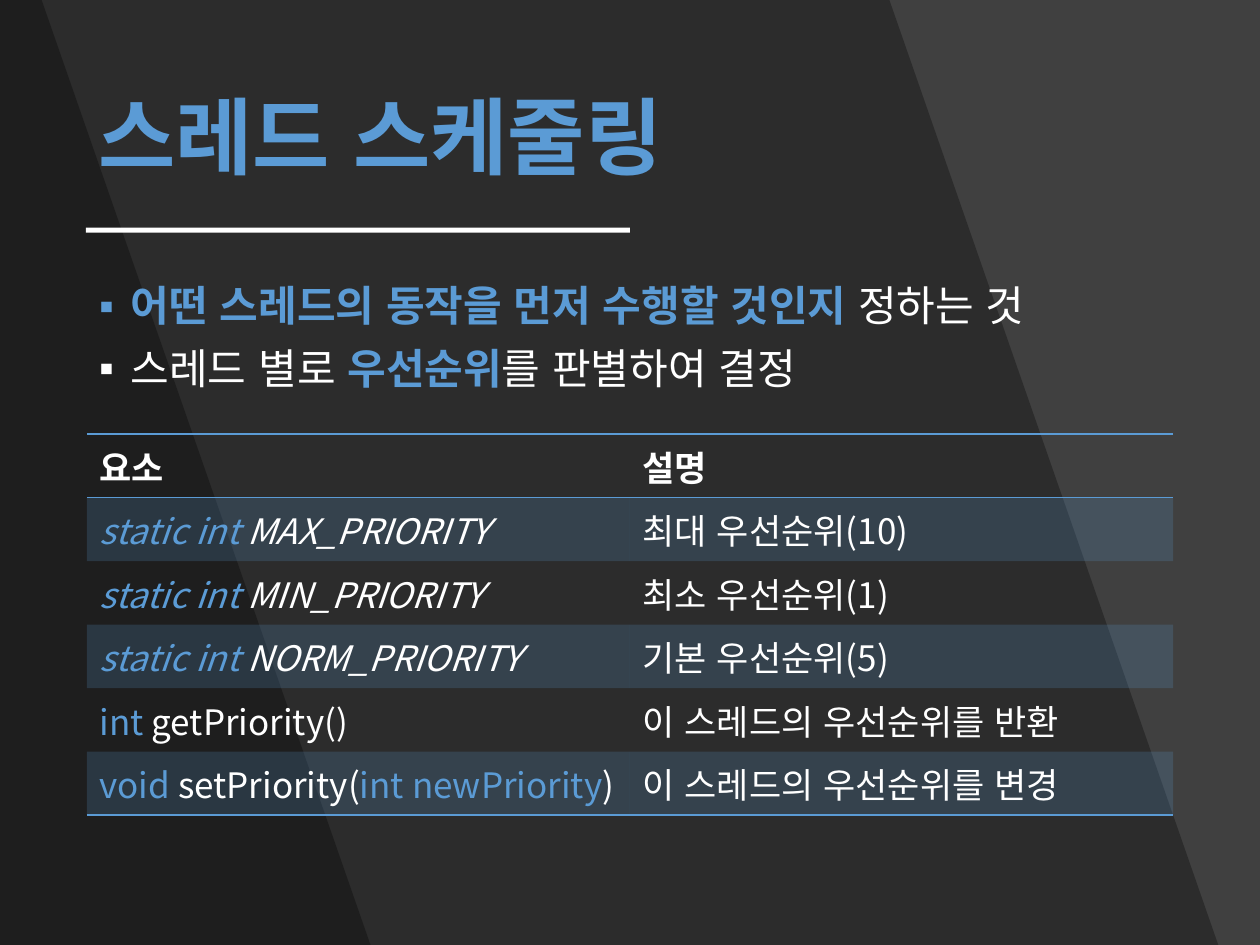
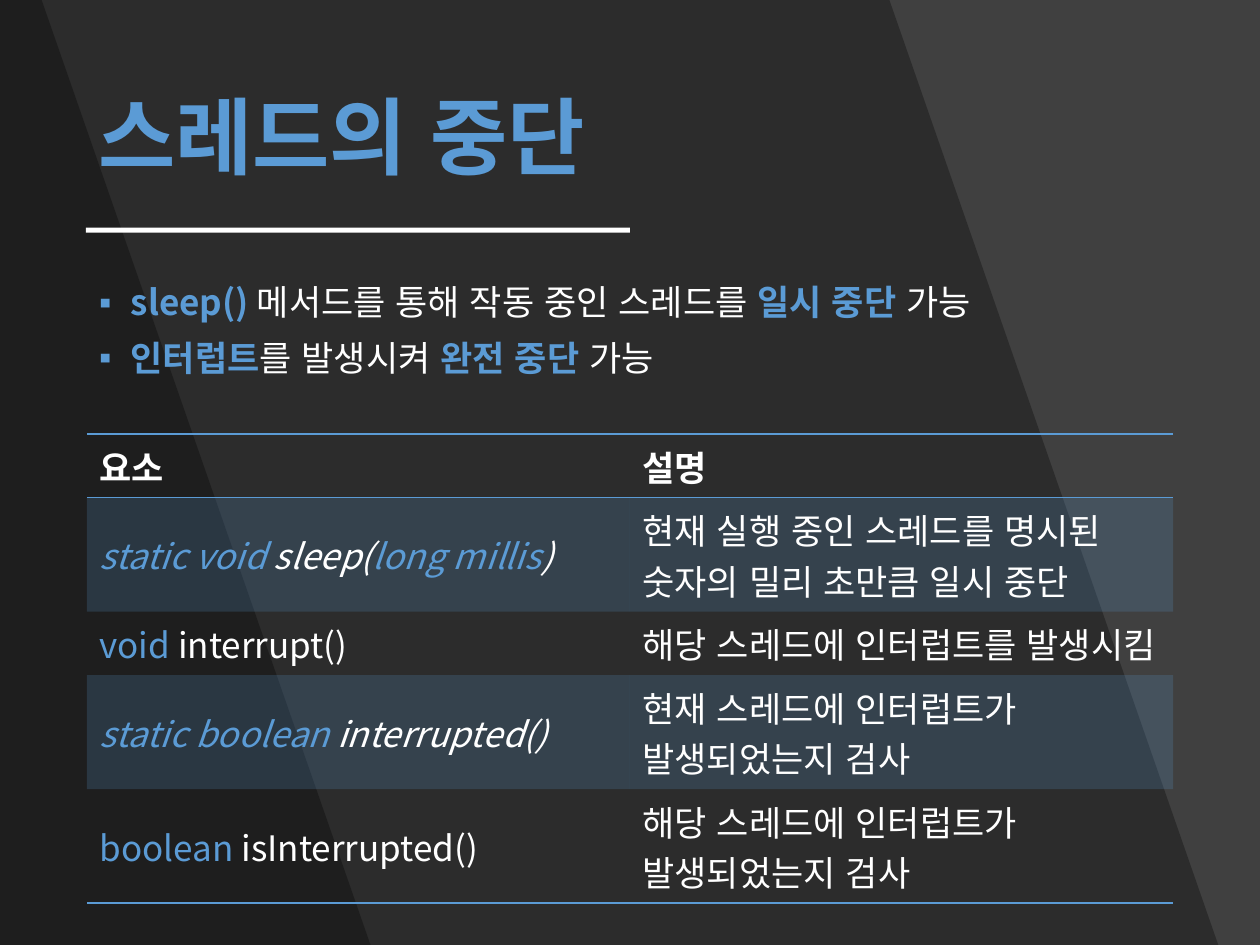
from lxml import etree
from pptx import Presentation
from pptx.dml.color import RGBColor
from pptx.enum.lang import MSO_LANGUAGE_ID
from pptx.enum.shapes import MSO_SHAPE
from pptx.enum.text import MSO_ANCHOR
from pptx.oxml.ns import qn
from pptx.util import Cm, Pt

KOREAN = MSO_LANGUAGE_ID.KOREAN
MIDDLE = MSO_ANCHOR.MIDDLE
TOP = MSO_ANCHOR.TOP
RECTANGLE = MSO_SHAPE.RECTANGLE

COLORS = {"background": "404040", "shade": "000000", "accent": "5B9BD5", "text": "FFFFFF"}
FONT = "Noto Sans CJK KR"
PLAIN_TABLE = "{2D5ABB26-0587-4C30-8999-92F81FD0307C}"
SLIDE_WIDTH, SLIDE_HEIGHT = 25.4, 19.05
TITLE_LEFT, LEFT, CONTENT_WIDTH = 1.73, 1.75, 21.9
BAND_EDGES = [(17.93, 24.56), (0.84, 7.47)]
TABLE_TOP = 8.75
ROW_HEIGHTS = {1: 1.28, 2: 2.3}
HEADER = ("요소", "설명", 1)

SLIDES = [
    {
        "title": "스레드 스케줄링",
        "bullet_size": 24,
        "bullets": [
            "|어떤 스레드의 동작을 먼저 수행할 것인지| 정하는 것",
            "스레드 별로 |우선순위|를 판별하여 결정",
        ],
        "members": [
            ("|static int |MAX_PRIORITY", "최대 우선순위(10)", 1),
            ("|static int |MIN_PRIORITY", "최소 우선순위(1)", 1),
            ("|static int |NORM_PRIORITY", "기본 우선순위(5)", 1),
            ("|int |getPriority()", "이 스레드의 우선순위를 반환", 1),
            ("|void |setPriority(|int newPriority|)", "이 스레드의 우선순위를 변경", 1),
        ],
    },
    {
        "title": "스레드의 중단",
        "bullet_size": 20,
        "bullets": [
            "|sleep() |메서드를 통해 작동 중인 스레드를 |일시 중단| 가능",
            "|인터럽트|를 발생시켜 |완전 중단| 가능",
        ],
        "members": [
            ("|static void| sleep(|long millis|)",
             "현재 실행 중인 스레드를 명시된 숫자의 밀리 초만큼 일시 중단", 2),
            ("|void |interrupt()", "해당 스레드에 인터럽트를 발생시킴", 1),
            ("|static boolean| interrupted()", "현재 스레드에 인터럽트가 발생되었는지 검사", 2),
            ("|boolean |isInterrupted()", "해당 스레드에 인터럽트가 발생되었는지 검사", 2),
        ],
    },
]


def rgb(name):
    """Return the named palette colour."""
    return RGBColor.from_string(COLORS[name])


def fill_solid(fill, color, opacity=100):
    """Fill with a palette colour at an opacity in percent."""
    fill.solid()
    fill.fore_color.rgb = rgb(color)
    if opacity < 100:
        tint = fill._xPr.find(qn("a:solidFill"))[0]
        etree.SubElement(tint, qn("a:alpha"), val=str(opacity * 1000))


def write_marked(paragraph, marked, size, bold=False, italic=False, bold_accent=False):
    """Write text in which every second part between bars takes the accent colour."""
    font = paragraph.font
    font.size, font.name, font.italic = Pt(size), FONT, italic
    font.language_id = KOREAN
    latin = font._element.find(qn("a:latin"))
    latin.addnext(etree.Element(qn("a:ea"), typeface=FONT))
    for index, part in enumerate(marked.split("|")):
        if part:
            accented = index % 2 == 1
            run = paragraph.add_run()
            run.text = part
            run.font.language_id = KOREAN
            run.font.bold = bold or (accented and bold_accent)
            run.font.color.rgb = rgb("accent" if accented else "text")


def add_bullet_mark(paragraph):
    """Give a paragraph a hanging square bullet."""
    properties = paragraph._p.get_or_add_pPr()
    properties.set("marL", str(Cm(0.635)))
    properties.set("indent", str(-Cm(0.635)))
    etree.SubElement(properties, qn("a:buFont"), typeface="Arial")
    etree.SubElement(properties, qn("a:buChar"), char="▪")


def add_text_frame(slide, left, top, height, anchor):
    """Add a wrapping text box across the content width."""
    box = slide.shapes.add_textbox(Cm(left), Cm(top), Cm(CONTENT_WIDTH), Cm(height))
    box.text_frame.word_wrap = True
    box.text_frame.vertical_anchor = anchor
    return box.text_frame


def add_background(slide):
    """Add the grey ground and its two slanted dark bands."""
    fill_solid(slide.background.fill, "background")
    for top_edge, bottom_edge in BAND_EDGES:
        outline = slide.shapes.build_freeform(Cm(0), Cm(0))
        outline.add_line_segments([
            (Cm(top_edge), Cm(0)),
            (Cm(bottom_edge), Cm(SLIDE_HEIGHT)),
            (Cm(0), Cm(SLIDE_HEIGHT)),
        ])
        band = outline.convert_to_shape()
        band.shadow.inherit = False
        fill_solid(band.fill, "shade", 30)
        band.line.fill.background()


def add_title(slide, title):
    """Add the title and the white rule under it."""
    paragraph = add_text_frame(slide, TITLE_LEFT, 1, 3.68, MIDDLE).paragraphs[0]
    paragraph.line_spacing = 0.9
    write_marked(paragraph, "|" + title, 48, bold=True)
    rule = slide.shapes.add_shape(RECTANGLE, Cm(TITLE_LEFT), Cm(4.59), Cm(10.97), Cm(0.1))
    rule.shadow.inherit = False
    fill_solid(rule.fill, "text")
    rule.line.fill.background()


def add_bullets(slide, bullets, size):
    """Add the bulleted statements."""
    frame = add_text_frame(slide, LEFT, 5.63, 11.53, TOP)
    for index, bullet in enumerate(bullets):
        paragraph = frame.add_paragraph() if index else frame.paragraphs[0]
        add_bullet_mark(paragraph)
        paragraph.line_spacing = 0.9
        paragraph.space_before = Pt(10)
        write_marked(paragraph, bullet, size, bold_accent=True)


def add_borders(cell, sides):
    """Draw thin accent borders on the given sides, in schema order."""
    properties = cell._tc.get_or_add_tcPr()
    for index, side in enumerate(sides):
        border = etree.Element(qn("a:ln" + side), w=str(Pt(1)))
        solid = etree.SubElement(border, qn("a:solidFill"))
        etree.SubElement(solid, qn("a:srgbClr"), val=COLORS["accent"])
        properties.insert(index, border)


def add_member_table(slide, members):
    """Add the table of class members with banded rows."""
    rows = [HEADER] + members
    heights = [ROW_HEIGHTS[lines] for _, _, lines in rows]
    table = slide.shapes.add_table(len(rows), 2, Cm(LEFT), Cm(TABLE_TOP),
                                   Cm(CONTENT_WIDTH), Cm(sum(heights))).table
    table._tbl.tblPr.find(qn("a:tableStyleId")).text = PLAIN_TABLE
    for row_index, (member, description, _) in enumerate(rows):
        table.rows[row_index].height = Cm(heights[row_index])
        for column_index, marked in enumerate((member, description)):
            cell = table.cell(row_index, column_index)
            cell.vertical_anchor = MIDDLE
            write_marked(cell.text_frame.paragraphs[0], marked, 20,
                         bold=row_index == 0, italic=marked.startswith("|static"))
            if row_index % 2:
                fill_solid(cell.fill, "accent", 20)
            else:
                cell.fill.background()
            if row_index == 0:
                add_borders(cell, "TB")
            elif row_index == len(members):
                add_borders(cell, "B")


def main():
    """Build the slides on thread control."""
    deck = Presentation()
    deck.slide_width, deck.slide_height = Cm(SLIDE_WIDTH), Cm(SLIDE_HEIGHT)
    for content in SLIDES:
        slide = deck.slides.add_slide(deck.slide_layouts[6])
        add_background(slide)
        add_title(slide, content["title"])
        add_bullets(slide, content["bullets"], content["bullet_size"])
        add_member_table(slide, content["members"])
    deck.save("out.pptx")


main()
